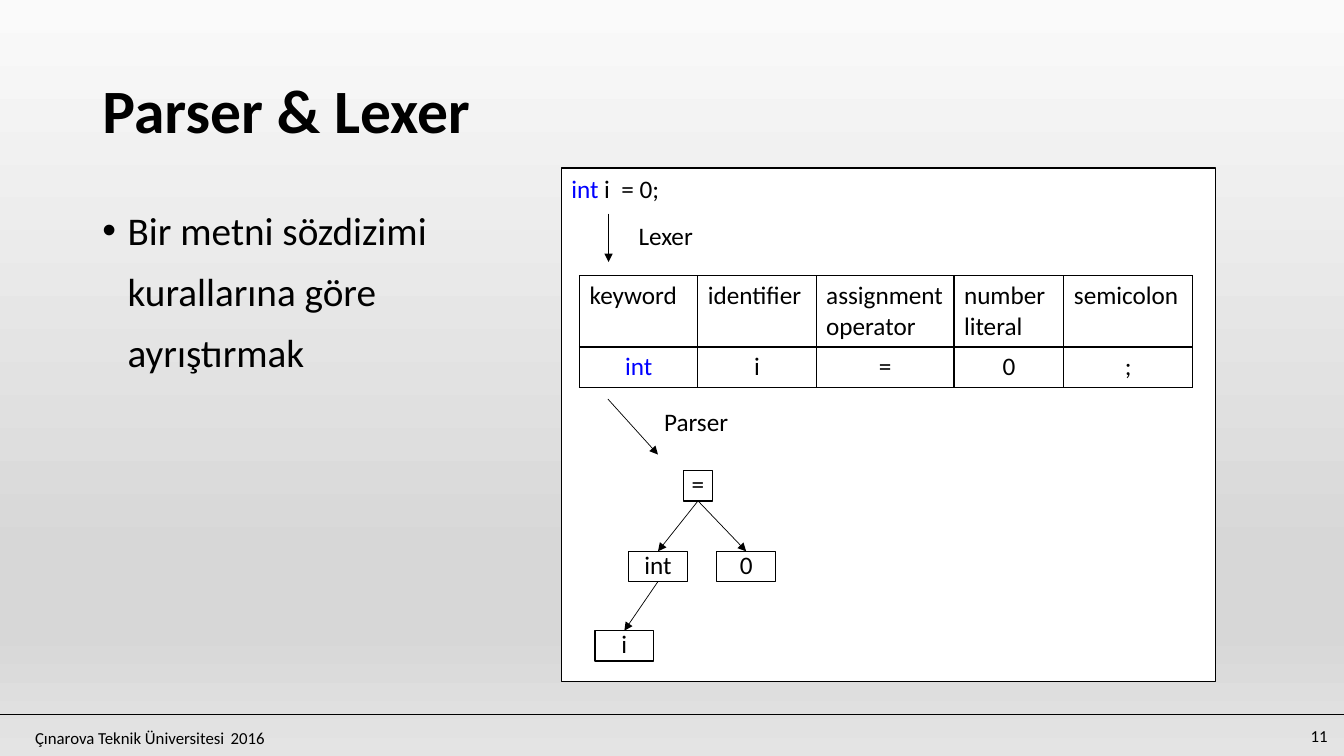
from lxml.etree import SubElement
from pptx import Presentation
from pptx.dml.color import RGBColor
from pptx.enum.shapes import MSO_CONNECTOR, MSO_SHAPE
from pptx.enum.text import MSO_ANCHOR, MSO_AUTO_SIZE, PP_ALIGN
from pptx.oxml.ns import qn
from pptx.util import Pt

COLORS = {
    "black": "000000",
    "white": "FFFFFF",
    "keyword": "0000FF",
    "light": "FAFAFA",
    "grey": "D7D7D7",
    "pale": "E4E4E4",
}
FONT = "Calibri"
BACKGROUND_STOPS = [(0, "light"), (74, "grey"), (83, "grey"), (100, "pale")]
TOKENS = [
    ("keyword", "int", 84.5),
    ("identifier", "i", 84.5),
    ("assignment operator", "=", 98.5),
    ("number literal", "0", 78.5),
    ("semicolon", ";", 92),
]
NODES = {
    "=": (488.2, 336.2, 20.8),
    "int": (449, 393.8, 42),
    "0": (512, 393.8, 42),
    "i": (425, 450.5, 42),
}
BRANCHES = [("=", "int"), ("=", "0"), ("int", "i")]


def color(name):
    return RGBColor.from_string(COLORS[name])


def place(box, left, top, width, height):
    box.left, box.top = Pt(left), Pt(top)
    box.width, box.height = Pt(width), Pt(height)


def write(para, text, size=18, shade="black", bold=False):
    span = para.add_run()
    span.text = text
    span.font.name = FONT
    span.font.size = Pt(size)
    span.font.bold = bold
    span.font.color.rgb = color(shade)


def paint_background(page):
    fill = page.background.fill
    fill.gradient()
    fill.gradient_angle = 270
    stops = page.background._cSld.find(".//" + qn("a:gsLst"))
    for stop in list(stops):
        stops.remove(stop)
    for percent, name in BACKGROUND_STOPS:
        stop = SubElement(stops, qn("a:gs"), pos=str(percent * 1000))
        SubElement(stop, qn("a:srgbClr"), val=COLORS[name])


def add_line(page, start=(0, 0), end=(0, 0), width=0.5, arrow=True):
    line = page.shapes.add_connector(
        MSO_CONNECTOR.STRAIGHT, *map(Pt, start), *map(Pt, end))
    line.line.color.rgb = color("black")
    line.line.width = Pt(width)
    if arrow:
        SubElement(line.line._get_or_add_ln(), qn("a:tailEnd"), type="triangle")
    SubElement(line._element.spPr, qn("a:effectLst"))
    return line


def add_rectangle(page, left, top, width, height, line_width):
    box = page.shapes.add_shape(
        MSO_SHAPE.RECTANGLE, Pt(left), Pt(top), Pt(width), Pt(height))
    box.shadow.inherit = False
    box.line.color.rgb = color("black")
    box.line.width = Pt(line_width)
    return box


def add_label(page, left, top, width, height, text, size=18, wrap=False):
    box = page.shapes.add_textbox(Pt(left), Pt(top), Pt(width), Pt(height))
    box.text_frame.word_wrap = wrap
    para = box.text_frame.paragraphs[0]
    write(para, text, size)
    return box


def fill_title(title):
    place(title, 66, 28.8, 828, 104.4)
    title.text_frame.vertical_anchor = MSO_ANCHOR.MIDDLE
    para = title.text_frame.paragraphs[0]
    para.alignment = PP_ALIGN.LEFT
    para.line_spacing = 0.9
    write(para, "Parser & Lexer", 44, bold=True)


def fill_body(body, lines):
    place(body, 66, 144, 828, 342.7)
    frame = body.text_frame
    frame.auto_size = MSO_AUTO_SIZE.NONE
    for index, text in enumerate(lines):
        para = frame.add_paragraph() if index else frame.paragraphs[0]
        para.space_before = Pt(10)
        properties = para._p.get_or_add_pPr()
        properties.set("marL", str(Pt(18)))
        properties.set("indent", str(0 if index else -Pt(18)))
        if index:
            SubElement(properties, qn("a:buNone"))
        else:
            SubElement(properties, qn("a:buFont"), typeface="Arial")
            SubElement(properties, qn("a:buChar"), char="•")
        write(para, text, 28)


def add_footer(page):
    add_line(page, (0, 510.5), (960, 510.5), 1, arrow=False)
    school = add_label(page, 18, 516.2, 216, 21.6,
                       "Çınarova Teknik Üniversitesi\t2016", 12, wrap=True)
    properties = school.text_frame.paragraphs[0]._p.get_or_add_pPr()
    tabs = SubElement(properties, qn("a:tabLst"))
    SubElement(tabs, qn("a:tab"), pos=str(Pt(139.7)), algn="l")
    number = add_label(page, 739.4, 511.4, 216, 28.8, "11", 12, wrap=True)
    number.text_frame.vertical_anchor = MSO_ANCHOR.MIDDLE
    number.text_frame.paragraphs[0].alignment = PP_ALIGN.RIGHT


def add_code_panel(page):
    panel = add_rectangle(page, 401, 120, 467.4, 366.5, 0.75)
    panel.fill.solid()
    panel.fill.fore_color.rgb = color("white")
    panel.text_frame.vertical_anchor = MSO_ANCHOR.TOP
    para = panel.text_frame.paragraphs[0]
    para.alignment = PP_ALIGN.LEFT
    write(para, "int", shade="keyword")
    write(para, " i  = 0;")


def add_borders(cell):
    properties = cell._tc.get_or_add_tcPr()
    for side in ("lnL", "lnR", "lnT", "lnB"):
        border = SubElement(properties, qn("a:" + side), w=str(Pt(1)))
        solid = SubElement(border, qn("a:solidFill"))
        SubElement(solid, qn("a:srgbClr"), val=COLORS["black"])


def add_token_table(page):
    width = sum(token[2] for token in TOKENS)
    table = page.shapes.add_table(
        2, len(TOKENS), Pt(414), Pt(197), Pt(width), Pt(80)).table
    table.first_row = table.horz_banding = False
    table.rows[0].height, table.rows[1].height = Pt(50.8), Pt(29.2)
    for column, (kind, value, column_width) in enumerate(TOKENS):
        table.columns[column].width = Pt(column_width)
        for row, text in enumerate((kind, value)):
            cell = table.cell(row, column)
            add_borders(cell)
            cell.fill.background()
            para = cell.text_frame.paragraphs[0]
            para.alignment = PP_ALIGN.CENTER if row else PP_ALIGN.LEFT
            write(para, text, shade="keyword" if text == "int" else "black")


def add_node(page, text, left, top, width):
    node = add_rectangle(page, left, top, width, 21.6, 1)
    node.fill.background()
    frame = node.text_frame
    frame.margin_left = frame.margin_right = Pt(0.7)
    frame.margin_top = frame.margin_bottom = Pt(0.7)
    frame.vertical_anchor = MSO_ANCHOR.MIDDLE
    para = frame.paragraphs[0]
    para.alignment = PP_ALIGN.CENTER
    para.line_spacing = 0.9
    write(para, text)
    return node


def add_syntax_tree(page):
    nodes = {text: add_node(page, text, *spot) for text, spot in NODES.items()}
    for parent, child in BRANCHES:
        branch = add_line(page)
        branch.begin_connect(nodes[parent], 2)
        branch.end_connect(nodes[child], 0)


def main():
    deck = Presentation()
    deck.slide_width, deck.slide_height = Pt(960), Pt(540)
    page = deck.slides.add_slide(deck.slide_layouts[1])
    paint_background(page)
    fill_title(page.shapes.title)
    fill_body(page.placeholders[1],
              ["Bir metni sözdizimi", "kurallarına göre", "ayrıştırmak"])
    add_footer(page)
    add_code_panel(page)
    add_line(page, (434.7, 152.6), (434.7, 187.2))
    add_label(page, 449, 154, 54, 28.8, "Lexer")
    add_token_table(page)
    add_line(page, (434.2, 285), (470, 324.7))
    add_label(page, 467.3, 286.6, 60.5, 28.8, "Parser")
    add_syntax_tree(page)
    deck.save("out.pptx")


if __name__ == "__main__":
    main()
